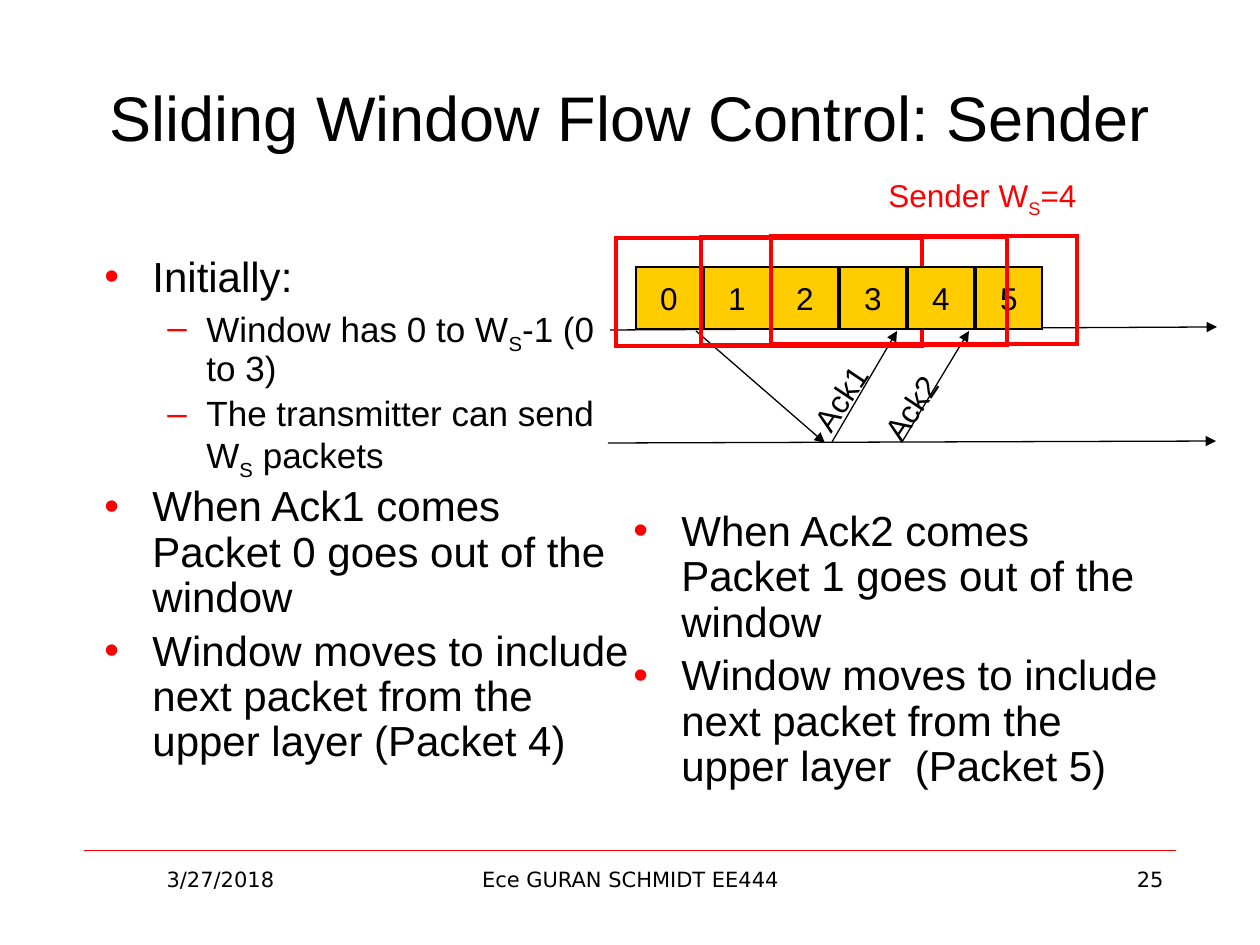
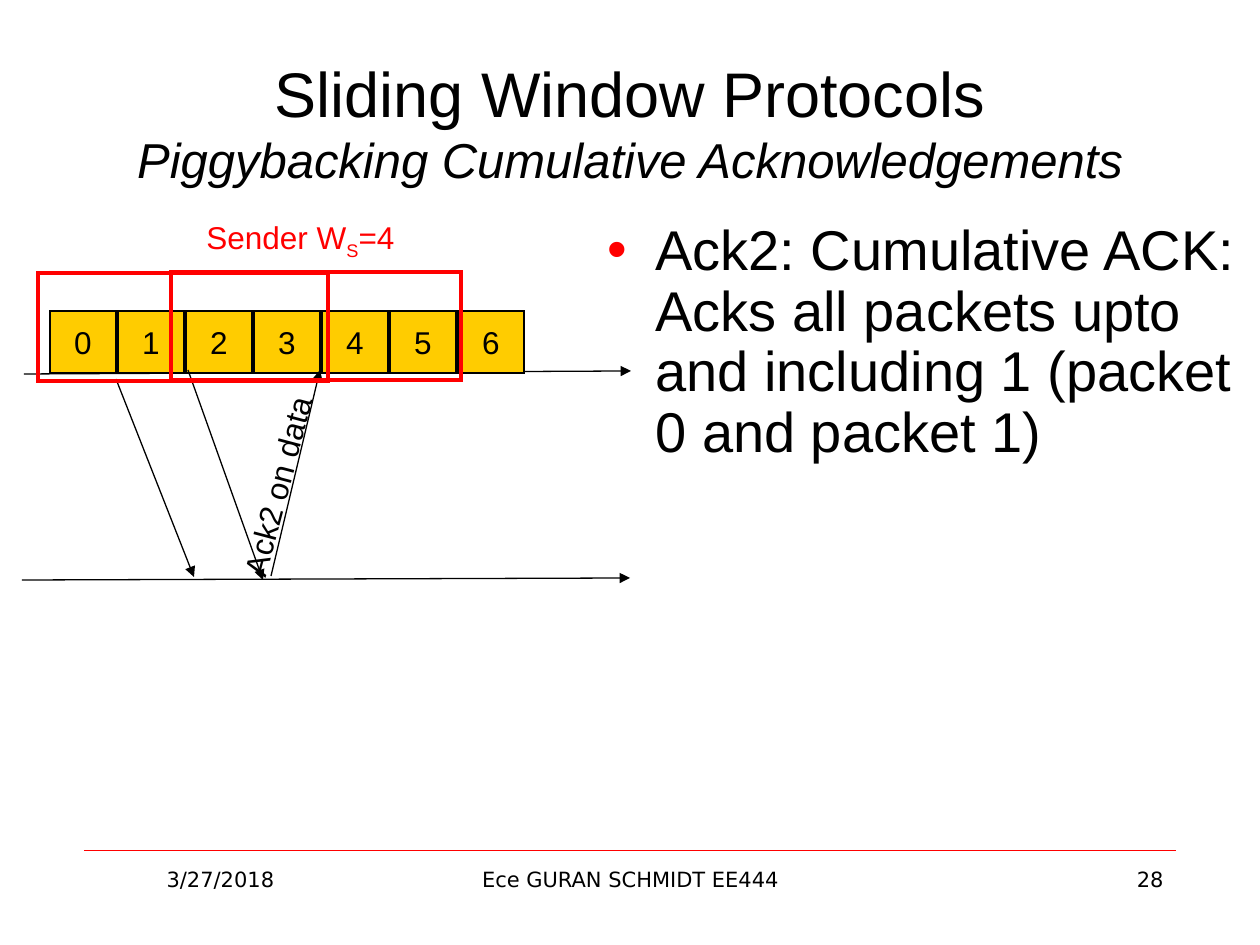
import dataclasses

import pptx
import pptx.dml.color
import pptx.enum.shapes
import pptx.enum.text
import pptx.oxml.ns
import pptx.slide
import pptx.util
from lxml import etree

EMU_PER_PX = 914400 / 126
SLIDE_SIZE = (1260, 945)
COLOURS = {"text": "000000", "accent": "FF0000", "packet": "FFCC00"}
FONT = "Arial"
FOOTER_FONT = "DejaVu Sans"
LABEL_SIZE = 18
BULLETS = {0: ("•", 48, 48), 1: ("–", 102, 39)}  # mark, margin, hanging indent

PACKET_WIDTH, PACKET_HEIGHT, PACKET_PITCH = 66, 62, 68
FIRST_PACKET_OFFSET = 28
WINDOW_HEIGHT = 108

ALIGN = pptx.enum.text.PP_ALIGN
ANCHOR = pptx.enum.text.MSO_ANCHOR


def px(length):
    return pptx.util.Emu(round(length * EMU_PER_PX))


def colour(name):
    return pptx.dml.color.RGBColor.from_string(COLOURS[name])


def add_runs(paragraph, text, size, ink="text", font=FONT, italic=None):
    """Add text as runs; a part between underscores becomes a subscript."""
    for index, part in enumerate(text.split("_")):
        run = paragraph.add_run()
        run.text = part
        run.font.size = pptx.util.Pt(size)
        run.font.name = font
        run.font.italic = italic
        run.font.color.rgb = colour(ink)
        if index % 2:
            run._r.get_or_add_rPr().set("baseline", "-25000")


def add_text_box(slide, box, anchor=ANCHOR.TOP):
    shape = slide.shapes.add_textbox(*map(px, box))
    shape.text_frame.word_wrap = True
    shape.text_frame.vertical_anchor = anchor
    return shape


def add_line(slide, start, end, ink="text", width=0.75, arrow=False):
    connector = slide.shapes.add_connector(
        pptx.enum.shapes.MSO_CONNECTOR.STRAIGHT, *map(px, (*start, *end)))
    connector.line.color.rgb = colour(ink)
    connector.line.width = pptx.util.Pt(width)
    if arrow:
        line = connector.line._get_or_add_ln()
        etree.SubElement(line, pptx.oxml.ns.qn("a:tailEnd"), type="triangle")
    etree.SubElement(connector._element.spPr, pptx.oxml.ns.qn("a:effectLst"))


def add_rectangle(slide, box, ink, width, fill=None):
    """Add a rectangle with square corners, unfilled unless a fill is named."""
    shape = slide.shapes.add_shape(
        pptx.enum.shapes.MSO_SHAPE.RECTANGLE, *map(px, box))
    shape.shadow.inherit = False
    if fill:
        shape.fill.solid()
        shape.fill.fore_color.rgb = colour(fill)
    else:
        shape.fill.background()
    shape.line.color.rgb = colour(ink)
    shape.line.width = pptx.util.Pt(width)
    line = shape.line._get_or_add_ln()
    etree.SubElement(line, pptx.oxml.ns.qn("a:miter"), lim="800000")
    return shape


def add_bullet(paragraph, level):
    mark, margin, hanging = BULLETS[level]
    paragraph.level = level
    properties = paragraph._p.get_or_add_pPr()
    properties.set("marL", str(px(margin)))
    properties.set("indent", str(-px(hanging)))
    qn = pptx.oxml.ns.qn
    bullet_colour = etree.SubElement(properties, qn("a:buClr"))
    etree.SubElement(bullet_colour, qn("a:srgbClr"), val=COLOURS["accent"])
    etree.SubElement(properties, qn("a:buFont"), typeface=FONT)
    etree.SubElement(properties, qn("a:buChar"), char=mark)


def add_body(slide, box, items):
    """Add bulleted paragraphs given as (level, size, text)."""
    frame = add_text_box(slide, box).text_frame
    for index, (level, size, text) in enumerate(items):
        paragraph = frame.add_paragraph() if index else frame.paragraphs[0]
        paragraph.line_spacing = 0.9
        if index:
            paragraph.space_before = pptx.util.Pt(0.2 * size)
        add_bullet(paragraph, level)
        add_runs(paragraph, text, size)


def add_title(slide, title, subtitle=None):
    anchor = ANCHOR.BOTTOM if subtitle else ANCHOR.MIDDLE
    shape = add_text_box(slide, (63, 38, 1134, 157), anchor)
    paragraph = shape.text_frame.paragraphs[0]
    paragraph.alignment = ALIGN.CENTER
    add_runs(paragraph, title, 36)
    if subtitle:
        paragraph.add_line_break()
        add_runs(paragraph, subtitle, 28, italic=True)


def add_footer(slide, number):
    left, right, top = 84, 1176, 860
    add_line(slide, (left, 850), (right, 850), "accent", 0.25)
    for x, width, text, alignment in (
            (left, 273, "3/27/2018", ALIGN.CENTER),
            (431, 399, "Ece GURAN SCHMIDT EE444", ALIGN.CENTER),
            (right - 273, 273, str(number), ALIGN.RIGHT)):
        shape = add_text_box(slide, (x, top, width, 66))
        paragraph = shape.text_frame.paragraphs[0]
        paragraph.alignment = alignment
        add_runs(paragraph, text, 12, font=FOOTER_FONT)


@dataclasses.dataclass
class Exchange:
    """Packet exchange diagram; (left, top) is the start of the packet row."""
    slide: pptx.slide.Slide
    left: int
    top: int

    def place(self, x, y):
        return self.left + x, self.top + y

    def arrow(self, start, end):
        add_line(self.slide, self.place(*start), self.place(*end), arrow=True)

    def timelines(self, receiver_y):
        self.arrow((2, 63), (609, 60))
        self.arrow((0, receiver_y), (608, receiver_y - 2))

    def packets(self, numbers):
        for number in numbers:
            x = FIRST_PACKET_OFFSET + number * PACKET_PITCH
            box = (*self.place(x, 0), PACKET_WIDTH, PACKET_HEIGHT)
            shape = add_rectangle(self.slide, box, "text", 0.75, "packet")
            frame = shape.text_frame
            frame.word_wrap = False
            frame.vertical_anchor = ANCHOR.MIDDLE
            frame.paragraphs[0].alignment = ALIGN.CENTER
            add_runs(frame.paragraphs[0], str(number), LABEL_SIZE)

    def window(self, x, y, width):
        box = (*self.place(x, y), width, WINDOW_HEIGHT)
        add_rectangle(self.slide, box, "accent", 2)

    def label(self, text, x, y, width, rotation=0, ink="text"):
        shape = add_text_box(self.slide, (*self.place(x, y), width, 50))
        shape.rotation = rotation
        add_runs(shape.text_frame.paragraphs[0], text, LABEL_SIZE, ink)

    def window_size_label(self, x, y):
        self.label("Sender W_S_=4", x, y, 239, ink="accent")


def add_slide(presentation, number, title, subtitle=None):
    slide = presentation.slides.add_slide(presentation.slide_layouts[6])
    add_footer(slide, number)
    add_title(slide, title, subtitle)
    return slide


def build_flow_control(presentation):
    slide = add_slide(presentation, 25, "Sliding Window Flow Control: Sender")
    add_body(slide, (621, 504, 554, 328), (
        (0, 24, "When Ack2 comes Packet 1 goes out of the window"),
        (0, 24, "Window moves to include next packet from the upper layer  (Packet 5)"),
    ))
    exchange = Exchange(slide, 608, 267)
    exchange.timelines(176)
    exchange.packets(range(4))
    exchange.arrow((88, 64), (217, 176))
    exchange.arrow((224, 175), (289, 64))
    exchange.arrow((294, 175), (361, 64))
    exchange.label("Ack1", 176, 90, 134, 303.7)
    exchange.label("Ack2", 245, 97, 140, 303.7)
    exchange.window_size_label(268, -97)
    exchange.window(8, -29, 306)
    exchange.packets((4, 5))
    exchange.window(163, -31, 306)
    exchange.window(93, -30, 306)
    add_body(slide, (92, 250, 551, 624), (
        (0, 24, "Initially:"),
        (1, 20, "Window has 0 to W_S_-1 (0 to 3)"),
        (1, 20, "The transmitter can send W_S_ packets"),
        (0, 24, "When Ack1 comes Packet 0 goes out of the window"),
        (0, 24, "Window moves to include next packet from the upper layer (Packet 4)"),
    ))


def build_piggybacking(presentation):
    slide = add_slide(presentation, 28, "Sliding Window Protocols",
                      "Piggybacking Cumulative Acknowledgements")
    add_body(slide, (595, 216, 660, 624), (
        (0, 32, "Ack2: Cumulative ACK: Acks all packets upto and including 1 "
                "(packet 0 and packet 1)"),
    ))
    exchange = Exchange(slide, 22, 311)
    exchange.timelines(269)
    exchange.packets(range(7))
    exchange.arrow((94, 68), (172, 266))
    exchange.arrow((166, 59), (241, 269))
    exchange.arrow((249, 265), (298, 59))
    exchange.label("Ack2 on data", 149, 148, 213, 284.8)
    exchange.window_size_label(172, -99)
    exchange.window(16, -38, 290)
    exchange.window(149, -39, 290)


def main():
    presentation = pptx.Presentation()
    presentation.slide_width, presentation.slide_height = map(px, SLIDE_SIZE)
    build_flow_control(presentation)
    build_piggybacking(presentation)
    presentation.save("out.pptx")


if __name__ == "__main__":
    main()
